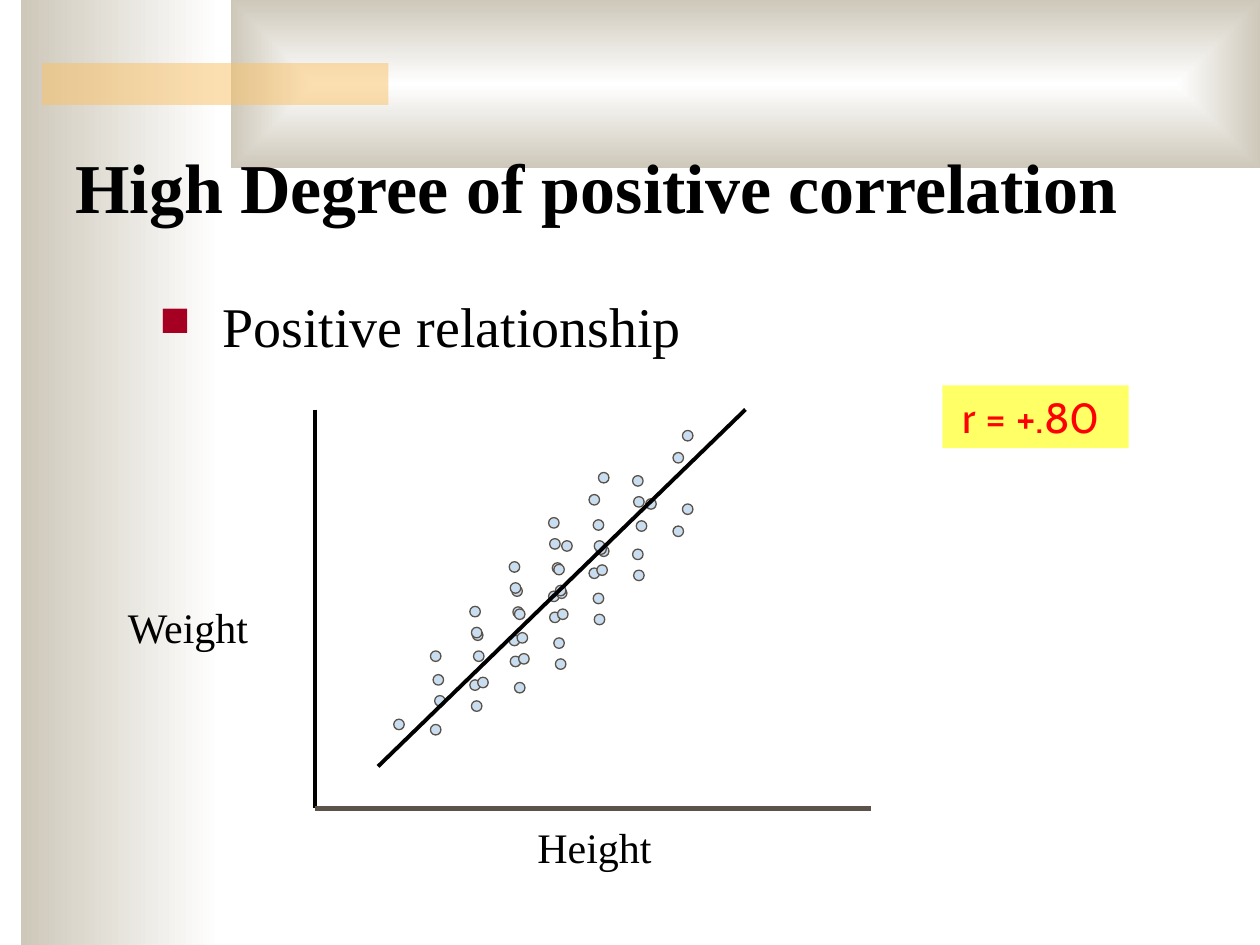
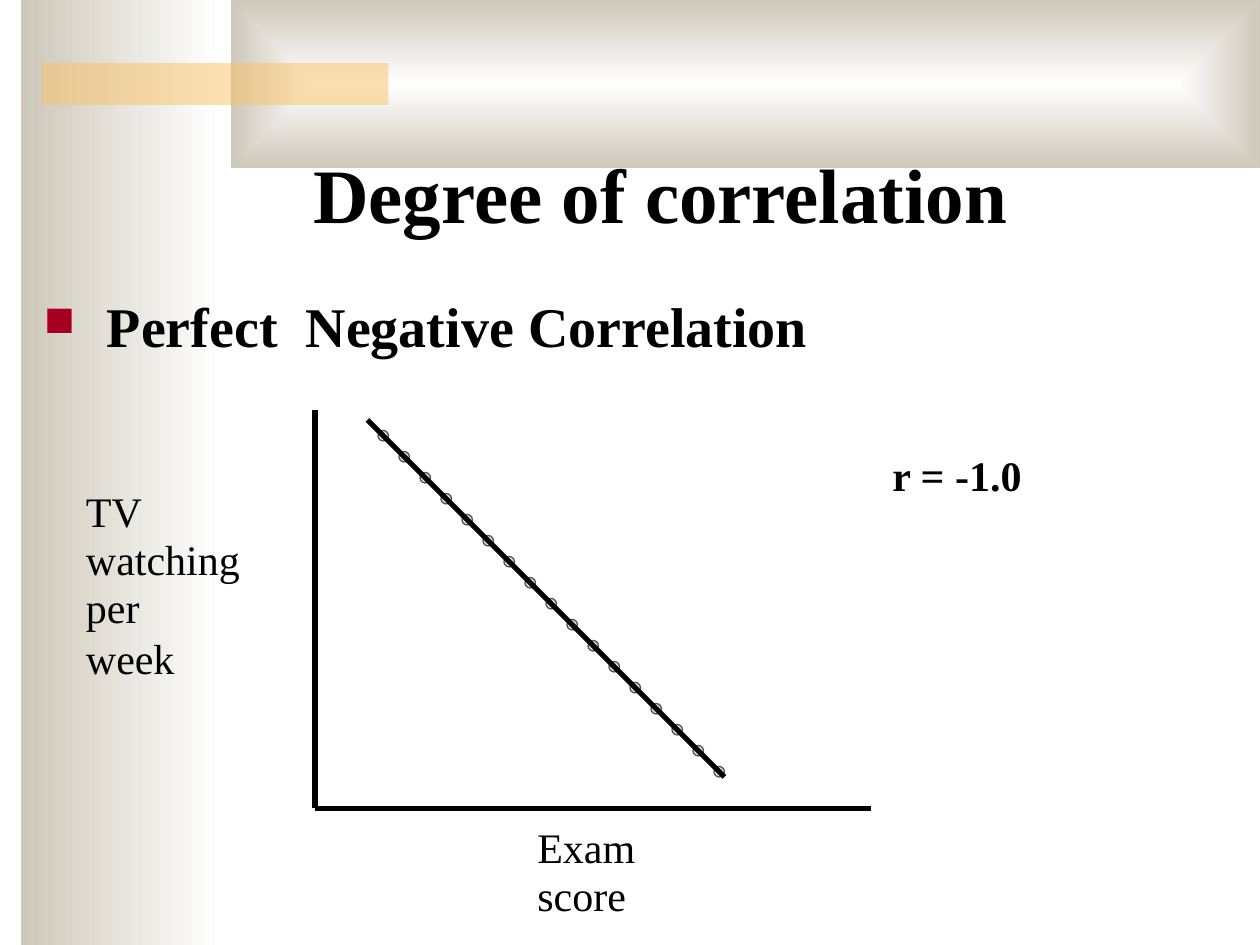
from itertools import product

from lxml import etree
from pptx import Presentation
from pptx.dml.color import RGBColor
from pptx.enum.shapes import MSO_CONNECTOR, MSO_SHAPE
from pptx.enum.text import MSO_ANCHOR
from pptx.oxml.ns import qn
from pptx.util import Inches, Pt

RECTANGLE = MSO_SHAPE.RECTANGLE
OVAL = MSO_SHAPE.OVAL
STRAIGHT = MSO_CONNECTOR.STRAIGHT
TOP = MSO_ANCHOR.TOP
BOTTOM = MSO_ANCHOR.BOTTOM

BLACK = RGBColor(0x00, 0x00, 0x00)
WHITE = RGBColor(0xFF, 0xFF, 0xFF)
STONE = RGBColor(0xCE, 0xC8, 0xBA)
AMBER = RGBColor(0xFA, 0xC1, 0x64)
BROWN = RGBColor(0x5B, 0x52, 0x49)
SKY = RGBColor(0xC9, 0xDD, 0xF1)
CRIMSON = RGBColor(0xA5, 0x00, 0x21)
YELLOW = RGBColor(0xFF, 0xFF, 0x66)
RED = RGBColor(0xFF, 0x00, 0x00)

COLUMNS, ROWS = 120, 90
DOT_CHAIN = [(41, 69), (44.9, 66.75), (44.75, 64.75), (48.6, 62.5), (48.5, 60.5),
             (52.35, 58.3), (52.25, 56.3), (56.1, 54.1), (57, 52)]
CHAIN_SHIFTS = [(-3.5, -0.5), (0, 0), (0, -7), (4.5, -4.5), (8, -4), (8, -11)]


def child(parent, tag, **attributes):
    return etree.SubElement(parent, qn(tag), attributes)


def write_text(frame, text, font="Times New Roman", size=24, color=BLACK, bold=False,
               spacing=(0.95, 1), before=0, indent=0):
    for index, (line, line_spacing) in enumerate(zip(text.split("\n"), spacing)):
        para = frame.add_paragraph() if index else frame.paragraphs[0]
        para.line_spacing = line_spacing
        para.space_before = Pt(before)
        if indent:
            para._p.get_or_add_pPr().set("marL", str(Inches(indent)))
        span = para.add_run()
        span.text = line
        span.font.name = font
        span.font.size = Pt(size)
        span.font.bold = bold
        span.font.color.rgb = color


class SlideBuilder:
    def __init__(self):
        self.deck = Presentation()
        self.deck.slide_width = Inches(10)
        self.deck.slide_height = Inches(7.5)
        self.page = None

    def x(self, columns):
        return round(self.deck.slide_width * columns / COLUMNS)

    def y(self, rows):
        return round(self.deck.slide_height * rows / ROWS)

    def place(self, left, top, width, height):
        return self.x(left), self.y(top), self.x(width), self.y(height)

    def new_page(self):
        self.page = self.deck.slides.add_slide(self.deck.slide_layouts[6])
        self.gradient(2, 0, 19, 90)
        self.gradient(22, 0, 98, 16, from_center=True)
        accent = self.shape(4, 6, 33, 4, AMBER)
        color = accent.fill._xPr.find(qn("a:solidFill"))[0]
        child(color, "a:alpha", val="50000")

    def shape(self, left, top, width, height, fill, kind=RECTANGLE, line=None):
        shape = self.page.shapes.add_shape(kind, *self.place(left, top, width, height))
        shape.shadow.inherit = False
        shape.fill.solid()
        shape.fill.fore_color.rgb = fill
        if line is None:
            shape.line.fill.background()
        else:
            shape.line.color.rgb = line
            shape.line.width = Pt(0.75)
        return shape

    def gradient(self, left, top, width, height, from_center=False):
        band = self.shape(left, top, width, height, WHITE)
        band.fill.gradient()
        band.fill.gradient_angle = 180
        for stop, color, position in zip(band.fill.gradient_stops, (WHITE, STONE), (0, 1)):
            stop.color.rgb = color
            stop.position = position
        if from_center:
            fill = band.fill._xPr.find(qn("a:gradFill"))
            fill.remove(fill.find(qn("a:lin")))
            focus = child(fill, "a:path", path="rect")
            child(focus, "a:fillToRect", **dict.fromkeys("ltrb", "50000"))

    def text(self, left, top, width, height, text, wrap=True, anchor=TOP, **style):
        box = self.page.shapes.add_textbox(*self.place(left, top, width, height))
        box.text_frame.word_wrap = wrap
        box.text_frame.vertical_anchor = anchor
        write_text(box.text_frame, text, **style)
        return box

    def title(self, left, top, width, height, text, **style):
        self.text(left, top, width, height, text, anchor=BOTTOM, bold=True, **style)

    def bullet(self, left, width, text, **style):
        box = self.text(left, 27.6, width, 10, text, size=32, before=8, indent=0.5, **style)
        properties = box.text_frame.paragraphs[0]._p.get_or_add_pPr()
        properties.set("indent", str(-Inches(0.5)))
        color = child(properties, "a:buClr")
        child(color, "a:srgbClr", val=str(CRIMSON))
        child(properties, "a:buSzPct", val="75000")
        child(properties, "a:buChar", char="■")

    def line(self, start, end, color=BLACK, weight=3):
        line = self.page.shapes.add_connector(
            STRAIGHT, self.x(start[0]), self.y(start[1]), self.x(end[0]), self.y(end[1]))
        line.line.color.rgb = color
        line.line.width = Pt(weight)
        child(line._element.spPr, "a:effectLst")

    def axes(self, label, label_width, color=BLACK, weight=3):
        self.line((30, 39), (30, 77), weight=weight)
        self.line((30, 77), (83, 77), color)
        self.text(50, 78, label_width, 5.8, label, wrap=False)

    def dots(self, points):
        for column, row in points:
            self.shape(column, row, 1, 1, SKY, OVAL, BROWN)


def high_positive(builder):
    builder.new_page()
    builder.title(6, 12, 110, 10.4, "High Degree of positive correlation", size=40)
    builder.bullet(14, 102, "Positive relationship")
    builder.axes("Height", 13.3, BROWN, 2.25)
    builder.text(11, 57.1, 15, 5.8, "Weight")
    builder.dots((column + across, row + down)
                 for (across, down), (column, row) in product(CHAIN_SHIFTS, DOT_CHAIN))
    builder.line((36, 73), (71, 39), weight=2.25)
    builder.shape(89.75, 36.7, 17.75, 6, YELLOW)
    builder.text(90.5, 36.7, 16.3, 6, "r = +.80", wrap=False,
                 font="Cabin", color=RED, spacing=(1,))


def perfect_negative(builder):
    builder.new_page()
    builder.title(14, 14.2, 102, 9.3, "Degree of correlation", size=44, indent=1.22)
    builder.bullet(3, 113, "Perfect  Negative Correlation", bold=True)
    builder.axes("Exam score", 21.1)
    builder.text(7, 46, 20, 19.7, "TV watching per\nweek")
    builder.dots((36 + step, 41 + step) for step in range(0, 34, 2))
    builder.line((35, 40), (69, 74))
    builder.text(83.8, 42.6, 15.7, 5.8, "r = -1.0", wrap=False, bold=True)


def main():
    builder = SlideBuilder()
    high_positive(builder)
    perfect_negative(builder)
    builder.deck.save("out.pptx")


if __name__ == "__main__":
    main()
